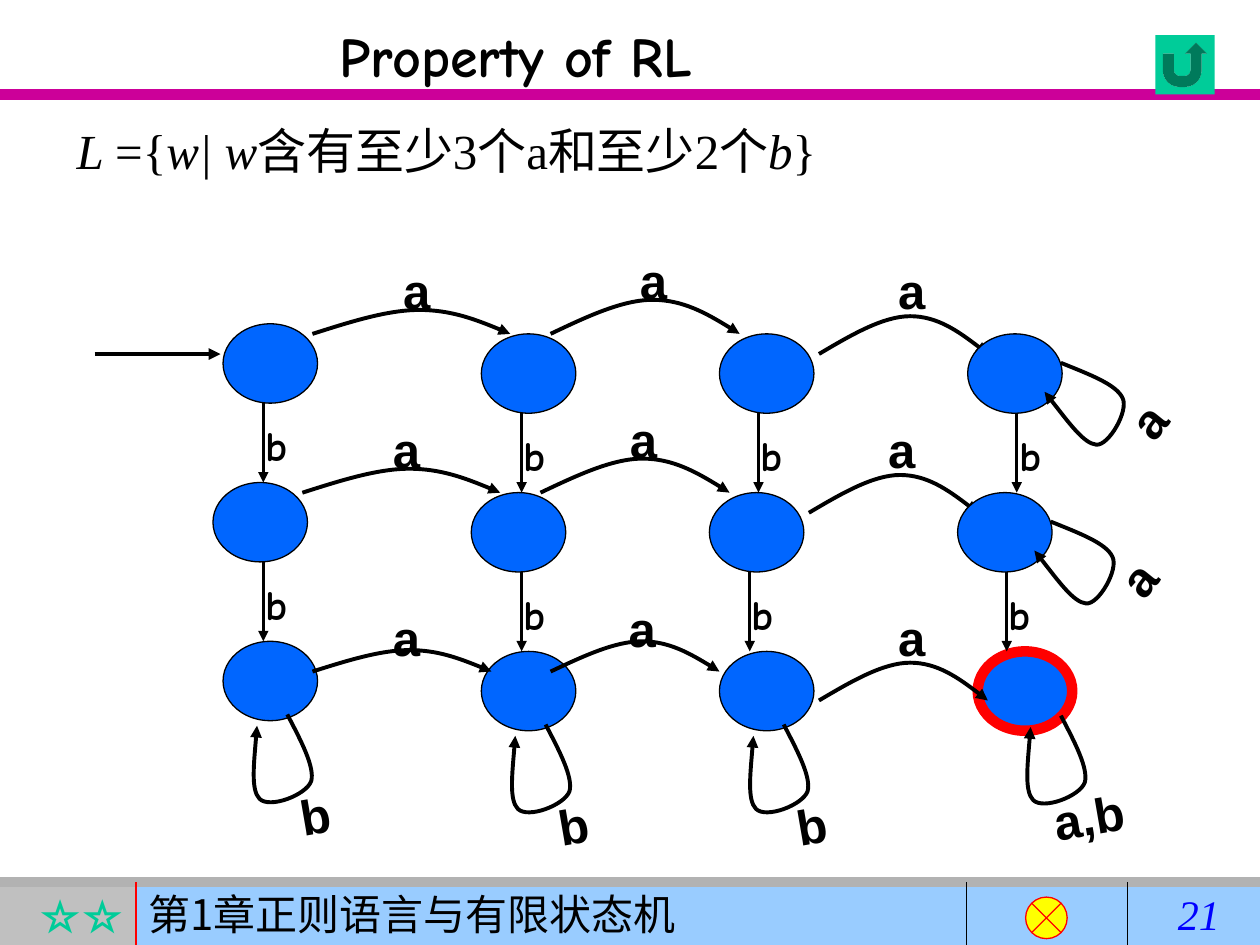
import pptx
import pptx.util
import pptx.dml.color
import pptx.enum.shapes
import pptx.enum.text
import pptx.oxml.ns
import lxml.etree

Inches = pptx.util.Inches
Shape = pptx.enum.shapes.MSO_SHAPE
Align = pptx.enum.text.PP_ALIGN
Anchor = pptx.enum.text.MSO_ANCHOR
qn = pptx.oxml.ns.qn


def color(value):
    return pptx.dml.color.RGBColor.from_string(value)


class Diagram:
    """Draws styled elements on the current slide."""

    black = "000000"
    serif = "Times New Roman"
    sans = "Arial"
    comic = "Comic Neue"
    chinese = "Noto Sans CJK SC"

    def __init__(self, slide):
        self.slide = slide

    def outline(self, shape, line, width, arrow=False):
        shape.line.color.rgb = color(line)
        shape.line.width = pptx.util.Pt(width)
        if arrow:
            line_properties = shape._element.spPr.get_or_add_ln()
            lxml.etree.SubElement(line_properties, qn("a:tailEnd"), type="triangle")

    def shape(self, kind, left, top, width, height, fill, line=None, line_width=0.75):
        shape = self.slide.shapes.add_shape(
            kind, Inches(left), Inches(top), Inches(width), Inches(height))
        shape.shadow.inherit = False
        shape.fill.solid()
        shape.fill.fore_color.rgb = color(fill)
        if line:
            self.outline(shape, line, line_width)
        else:
            shape.line.fill.background()
        return shape

    def line(self, start, end, line=black, width=0.75, arrow=False):
        connector = self.slide.shapes.add_connector(
            pptx.enum.shapes.MSO_CONNECTOR.STRAIGHT,
            *[Inches(value) for value in (*start, *end)])
        self.outline(connector, line, width, arrow)
        lxml.etree.SubElement(connector._element.spPr, qn("a:effectLst"))

    def curve(self, points):
        vertices = [(Inches(x), Inches(y)) for x, y in points]
        builder = self.slide.shapes.build_freeform(*vertices[0])
        builder.add_line_segments(vertices[1:], close=False)
        shape = builder.convert_to_shape()
        shape.shadow.inherit = False
        shape.fill.background()
        self.outline(shape, self.black, 2.25, arrow=True)
        segments = list(shape._element.iter(qn("a:lnTo")))
        for index in range(0, len(segments), 3):
            bezier = lxml.etree.Element(qn("a:cubicBezTo"))
            segments[index].addprevious(bezier)
            for segment in segments[index:index + 3]:
                bezier.append(segment[0])
                segment.getparent().remove(segment)

    def set_text(self, shape, runs, size, font, fill=black, align=Align.LEFT,
                 bold=False, anchor=Anchor.TOP):
        frame = shape.text_frame
        frame.word_wrap = True
        frame.vertical_anchor = anchor
        paragraph = frame.paragraphs[0]
        paragraph.alignment = align
        for words, italic in runs:
            run = paragraph.add_run()
            run.text = words
            run.font.size = pptx.util.Pt(size)
            run.font.name = font
            run.font.bold = bold
            run.font.italic = italic
            run.font.color.rgb = color(fill)
            properties = run._r.get_or_add_rPr()
            lxml.etree.SubElement(properties, qn("a:ea"), typeface=self.chinese)

    def text(self, left, top, width, height, runs, size, font, rotation=0, **style):
        box = self.slide.shapes.add_textbox(
            Inches(left), Inches(top), Inches(width), Inches(height))
        box.rotation = rotation
        self.set_text(box, runs, size, font, **style)

    def arc(self, left, top, width, height, label_left, label_top):
        fractions = [(0, 1), (0.19, 0.5), (0.38, 0), (0.54, 0), (0.7, 0), (0.86, 0.5), (1, 1)]
        self.curve([(left + width * x, top + height * y) for x, y in fractions])
        self.text(label_left, label_top, 0.41, 0.57, [("a", False)], 28, self.sans,
                  align=Align.CENTER, bold=True)

    def loop(self, left, top, offsets, label, label_offset, rotation):
        self.curve([(left + x, top + y) for x, y in offsets])
        self.text(left + label_offset[0], top + label_offset[1], 1.14, 0.57,
                  [(label, False)], 28, self.sans, rotation,
                  align=Align.CENTER, bold=True, anchor=Anchor.MIDDLE)

    def step_down(self, x, top):
        self.text(x - 0.08, top + 0.08, 0.63, 0.5, [("b", False)], 24, self.comic, bold=True)
        self.line((x, top), (x, top + 0.63), width=1.5, arrow=True)


presentation = pptx.Presentation()
presentation.slide_width = Inches(10)
presentation.slide_height = Inches(7.5)
slide = presentation.slides.add_slide(presentation.slide_layouts[6])
diagram = Diagram(slide)

diagram.line((0, 0.75), (10, 0.75), "CC0099", 6)
stars = diagram.shape(Shape.RECTANGLE, 0, 7, 1.08, 0.5, "C0C0C0")
diagram.set_text(stars, [("☆☆", False)], 24, diagram.serif, "00CC99", Align.RIGHT, True)
chapter = diagram.shape(Shape.RECTANGLE, 1.08, 7, 8.92, 0.57, "99CCFF")
diagram.set_text(chapter, [("第1章正则语言与有限状态机", False)], 24, diagram.chinese)
diagram.line((0, 7), (10, 7), "B2B2B2", 6)
for x, line in [(1.08, "FF0000"), (7.67, "000000"), (8.95, "000000")]:
    diagram.line((x, 7), (x, 7.5), line)
diagram.shape(Shape.FLOWCHART_SUMMING_JUNCTION, 8.14, 7.12, 0.33, 0.33, "FFFF00", "FF0000")
diagram.text(9.25, 7, 0.75, 0.5, [("21", True)], 24, diagram.serif, fill="0000FF")

diagram.text(0.67, 0.12, 6.85, 0.64, [("Property of RL", False)], 32, diagram.comic,
             align=Align.CENTER, bold=True)
language = [("L ", True), ("={", False), ("w| w", True), ("含有至少3个a和至少2个", False),
            ("b", True), ("}", False)]
diagram.text(0.51, 0.91, 8.58, 0.57, language, 28, diagram.serif)
diagram.shape(Shape.ACTION_BUTTON_RETURN, 9.17, 0.28, 0.47, 0.47, "00CC99")

columns = [1.77, 3.82, 5.71, 7.68]
rows = [2.65, 3.91, 5.17]
row_shift = -0.08
row_gap = rows[1] - rows[0]
states = [[(x + (row_shift if row == 1 else 0), y - (0.08 if column == 0 else 0))
           for column, x in enumerate(columns)] for row, y in enumerate(rows)]
accepting = (7.76, 5.17)
states[2][3] = accepting

upper_arcs = [(2.48, 2.46, 1.57, 0.19, 3.1, 2.02), (4.37, 2.38, 1.5, 0.27, 4.98, 1.94),
              (6.5, 2.51, 1.34, 0.3, 7.03, 2.02)]
lower_arcs = [(2.48, 5.16, 1.42, 0.17, 3.02, 4.77), (4.37, 5.09, 1.34, 0.24, 4.89, 4.7),
              (6.5, 5.26, 1.34, 0.3, 7.03, 4.77)]
for row in range(2):
    dx, dy = row * row_shift, row * row_gap
    for left, top, width, height, label_left, label_top in upper_arcs:
        diagram.arc(left + dx, top + dy, width, height, label_left + dx, label_top + dy)

diagram.line((0.75, 2.81), (1.75, 2.81), width=2.25, arrow=True)
for row_states in states:
    for state in row_states:
        border = ("FF0000", 6) if state == accepting else ("000000", 0.75)
        diagram.shape(Shape.OVAL, *state, 0.75, 0.63, "0066FF", *border)
for lower_arc in lower_arcs:
    diagram.arc(*lower_arc)

for row, step_columns in enumerate([[2.09, 4.14, 6.02, 8.07], [2.09, 4.14, 5.95, 7.99]]):
    for x, state in zip(step_columns, states[row]):
        diagram.step_down(x, state[1] + 0.63)

bottom_loop = [(0.51, 0.58), (0.62, 0.79), (0.73, 1), (0.7, 1.11), (0.66, 1.22),
               (0.37, 1.33), (0.29, 1.25), (0.22, 1.18), (0.25, 0.92), (0.27, 0.67)]
side_loop = [(0.74, 0.23), (0.96, 0.32), (1.18, 0.4), (1.23, 0.51), (1.28, 0.61),
             (1.12, 0.89), (1.02, 0.88), (0.92, 0.87), (0.77, 0.66), (0.61, 0.46)]
for left, top in states[2][:3]:
    diagram.loop(left, top, bottom_loop, "b", (0.16, 1.09), 350.2)
diagram.loop(accepting[0] + 0.15, accepting[1] - 0.07, bottom_loop, "a,b", (0.16, 1.09), 350.2)
for row_states in states[:2]:
    diagram.loop(*row_states[3], side_loop, "a", (0.86, 0.4), 308.7)

presentation.save("out.pptx")
